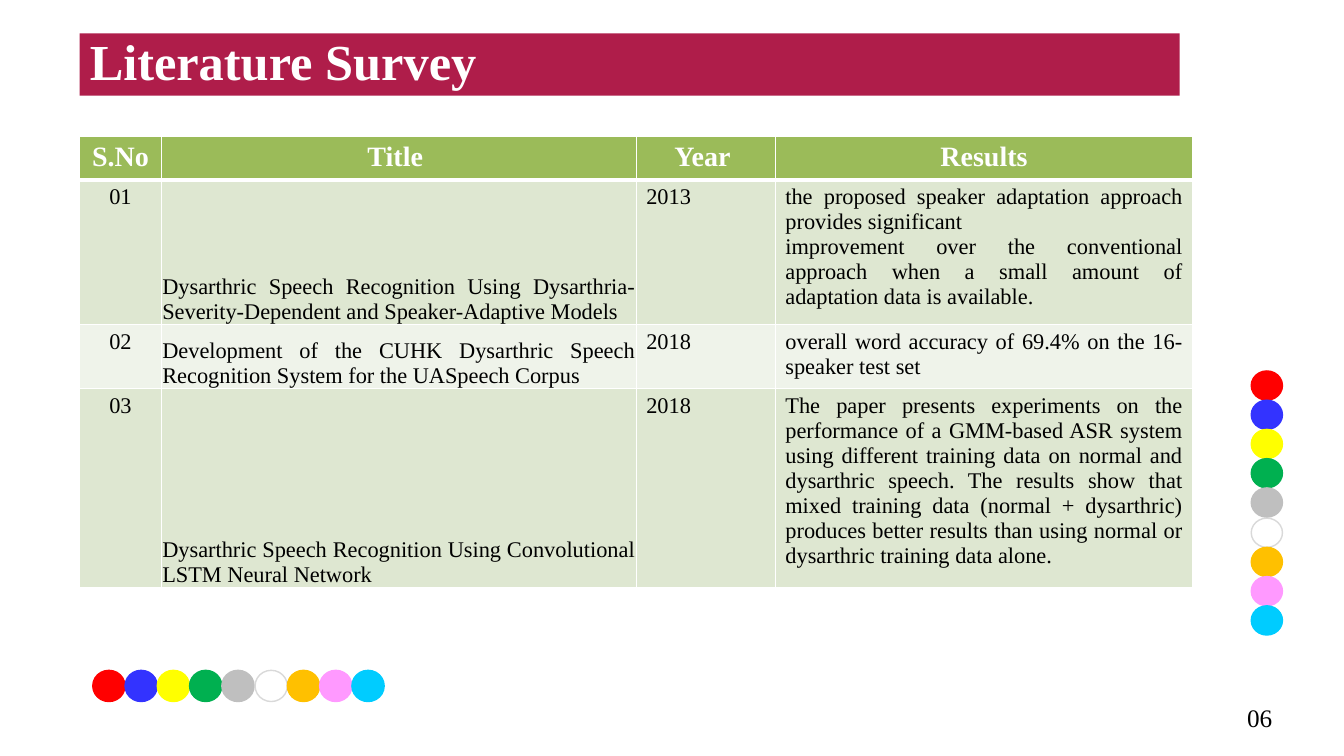
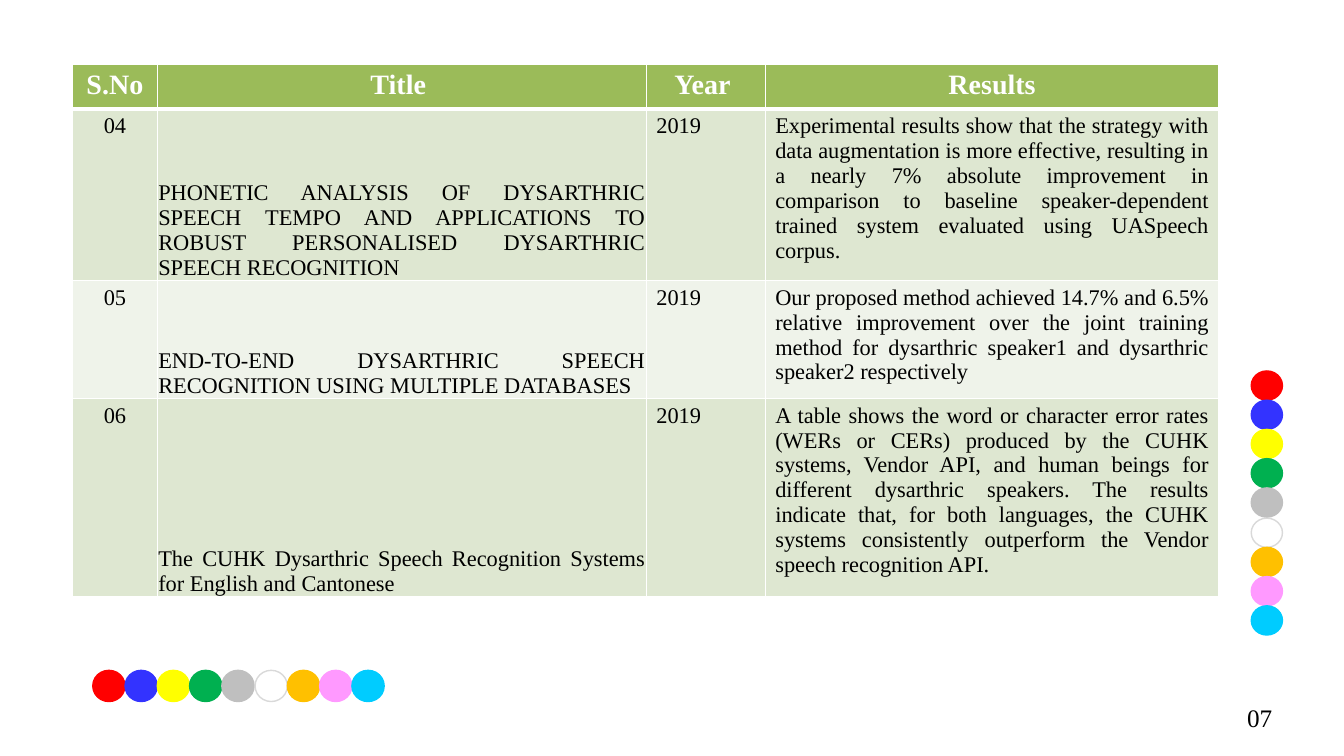
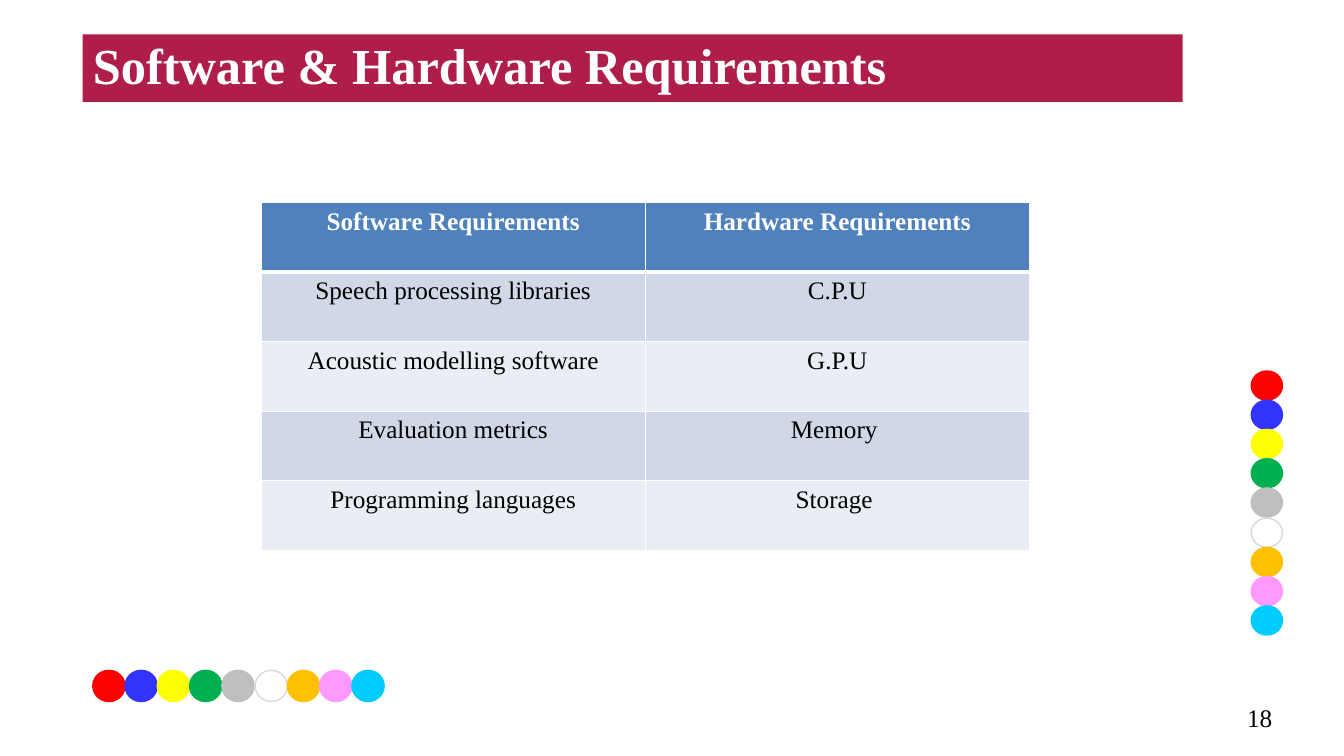
from dataclasses import dataclass

from lxml.etree import SubElement
from pptx import Presentation
from pptx.dml.color import RGBColor
from pptx.enum.shapes import MSO_SHAPE
from pptx.enum.text import MSO_ANCHOR as Anchor, MSO_AUTO_SIZE as AutoSize, PP_ALIGN as Align
from pptx.oxml.ns import qn
from pptx.presentation import Presentation as Deck
from pptx.slide import Slide
from pptx.table import _Cell as Cell
from pptx.text.text import TextFrame
from pptx.util import Emu, Pt

PX = 9144
FONT = "Times New Roman"
WHITE = RGBColor(0xFF, 0xFF, 0xFF)
BLACK = RGBColor(0x00, 0x00, 0x00)
CRIMSON = RGBColor(0xAF, 0x1D, 0x4A)
GREEN = RGBColor(0x9B, 0xBB, 0x59)
GREEN_MID = RGBColor(0xDE, 0xE7, 0xD1)
GREEN_PALE = RGBColor(0xEF, 0xF3, 0xEA)
BLUE = RGBColor(0x4F, 0x81, 0xBD)
BLUE_MID = RGBColor(0xD0, 0xD8, 0xE8)
BLUE_PALE = RGBColor(0xE9, 0xED, 0xF4)
DOT_WHITE_LINE = RGBColor(0xD9, 0xD9, 0xD9)
DOT_COLORS = (
    RGBColor(0xFF, 0x00, 0x00), RGBColor(0x33, 0x33, 0xFF), RGBColor(0xFF, 0xFF, 0x00),
    RGBColor(0x00, 0xB0, 0x50), RGBColor(0xBF, 0xBF, 0xBF), WHITE,
    RGBColor(0xFF, 0xC0, 0x00), RGBColor(0xFF, 0x99, 0xFF), RGBColor(0x00, 0xCC, 0xFF),
)


@dataclass(frozen=True)
class Box:
    left: int
    top: int
    width: int
    height: int

    def emu(self) -> tuple[Emu, ...]:
        return tuple(px(n) for n in (self.left, self.top, self.width, self.height))


@dataclass(frozen=True)
class DotStrip:
    first: Box
    dx: int
    dy: int


@dataclass(frozen=True)
class TableStyle:
    header: RGBColor
    bands: tuple[RGBColor, RGBColor]
    header_size: int
    body_size: int
    aligns: tuple[Align, ...]
    tight_col: int | None = None


@dataclass(frozen=True)
class TableSpec:
    left: int
    top: int
    cols: tuple[int, ...]
    heights: tuple[int, ...]
    rows: tuple[tuple[str, ...], ...]
    style: TableStyle


@dataclass(frozen=True)
class Page:
    number: str
    table: TableSpec
    title: str = ""
    title_box: Box | None = None


STRIPS = (
    DotStrip(Box(1241, 368, 31, 29), 0, 233),
    DotStrip(Box(92, 665, 32, 31), 257, 0),
)
NUMBER_BOX = Box(1227, 692, 95, 40)
SURVEY_STYLE = TableStyle(
    GREEN, (GREEN_MID, GREEN_PALE), 20, 16,
    (Align.CENTER, Align.JUSTIFY, Align.LEFT, Align.JUSTIFY), tight_col=1,
)
NEEDS_STYLE = TableStyle(BLUE, (BLUE_MID, BLUE_PALE), 18, 18, (Align.CENTER, Align.CENTER))
SURVEY_HEADER = ("S.No", "Title ", "Year ", "Results")

PAGES = (
    Page("06", TableSpec(79, 135, (81, 471, 138, 414), (43, 143, 64, 197), (
        SURVEY_HEADER,
        ("01",
         "Dysarthric Speech Recognition Using Dysarthria-Severity-Dependent and "
         "Speaker-Adaptive Models",
         "2013",
         "the proposed speaker adaptation approach provides significant \n"
         "improvement over the conventional approach when a small amount of "
         "adaptation data is available. "),
        ("02",
         "Development of the CUHK Dysarthric Speech Recognition System for the UASpeech Corpus",
         "2018",
         "overall word accuracy of 69.4% on the 16-speaker test set"),
        ("03",
         "Dysarthric Speech Recognition Using Convolutional LSTM Neural Network",
         "2018",
         "The paper presents experiments on the performance of a GMM-based ASR system using "
         "different training data on normal and dysarthric speech. The results show that mixed "
         "training data (normal + dysarthric) produces better results than using normal or "
         "dysarthric training data alone. "),
    ), SURVEY_STYLE), "Literature Survey", Box(79, 33, 1091, 62)),
    Page("07", TableSpec(72, 64, (84, 485, 118, 450), (44, 170, 117, 197), (
        SURVEY_HEADER,
        ("04",
         "PHONETIC ANALYSIS OF DYSARTHRIC SPEECH TEMPO AND APPLICATIONS TO ROBUST "
         "PERSONALISED DYSARTHRIC SPEECH RECOGNITION",
         "2019",
         "Experimental results show that the strategy with data augmentation is more effective, "
         "resulting in a nearly 7% absolute improvement in comparison to baseline "
         "speaker-dependent trained system evaluated using UASpeech corpus."),
        ("05",
         "END-TO-END DYSARTHRIC SPEECH RECOGNITION USING MULTIPLE DATABASES",
         "2019",
         "Our proposed method achieved 14.7% and 6.5% relative improvement over the joint "
         "training method for dysarthric speaker1 and dysarthric speaker2 respectively"),
        ("06",
         "The CUHK Dysarthric Speech Recognition Systems for English and Cantonese",
         "2019",
         "A table shows the word or character error rates (WERs or CERs) produced by the CUHK "
         "systems, Vendor API, and human beings for different dysarthric speakers. The results "
         "indicate that, for both languages, the CUHK systems consistently outperform the "
         "Vendor speech recognition API. "),
    ), SURVEY_STYLE)),
    Page("18", TableSpec(259, 201, (381, 381), (69,) * 5, (
        ("Software Requirements", "Hardware Requirements"),
        ("Speech processing libraries", "C.P.U"),
        ("Acoustic modelling software", "G.P.U"),
        ("Evaluation metrics", "Memory "),
        ("Programming languages", "Storage "),
    ), NEEDS_STYLE), "Software & Hardware Requirements", Box(82, 34, 1091, 67)),
)


def px(n: int) -> Emu:
    return Emu(n * PX)


def write(tf: TextFrame, text: str, *, size: int, color: RGBColor = BLACK, bold: bool = False,
          align: Align = Align.LEFT, spacing: float | None = None) -> None:
    for i, line in enumerate(text.split("\n")):
        p = tf.add_paragraph() if i else tf.paragraphs[0]
        p.alignment = align
        p.line_spacing = spacing
        r = p.add_run()
        r.text = line
        r.font.name = FONT
        r.font.size = Pt(size)
        r.font.bold = bold
        r.font.color.rgb = color


def add_master_dots(prs: Deck, slide: Slide, strip: DotStrip, first_id: int) -> None:
    group = slide.shapes.add_group_shape()
    steps = len(DOT_COLORS) - 1
    for i, color in enumerate(DOT_COLORS):
        box = Box(strip.first.left + round(strip.dx * i / steps),
                  strip.first.top + round(strip.dy * i / steps),
                  strip.first.width, strip.first.height)
        sp = group.shapes.add_shape(MSO_SHAPE.FLOWCHART_CONNECTOR, *box.emu())
        sp.shadow.inherit = False
        sp.fill.solid()
        sp.fill.fore_color.rgb = color
        sp.line.color.rgb = DOT_WHITE_LINE if color == WHITE else color
        sp.line.width = Pt(1)
    for i, props in enumerate(group.element.xpath(".//p:cNvPr"), first_id):
        props.set("id", str(i))
    prs.slide_master.shapes.element.append(group.element)


def set_borders(cell: Cell, row: int) -> None:
    tc_pr = cell._tc.get_or_add_tcPr()
    widths = {"a:lnL": 1, "a:lnR": 1, "a:lnT": 3 if row == 1 else 1, "a:lnB": 3 if row == 0 else 1}
    for tag, width in widths.items():
        ln = SubElement(tc_pr, qn(tag), w=str(Pt(width)))
        fill = SubElement(ln, qn("a:solidFill"))
        SubElement(fill, qn("a:srgbClr"), val=str(WHITE))


def add_table(slide: Slide, spec: TableSpec) -> None:
    box = Box(spec.left, spec.top, sum(spec.cols), sum(spec.heights))
    table = slide.shapes.add_table(len(spec.heights), len(spec.cols), *box.emu()).table
    table.horz_banding = False
    for col, width in zip(table.columns, spec.cols):
        col.width = px(width)
    for row, height in zip(table.rows, spec.heights):
        row.height = px(height)
    style = spec.style
    for r, texts in enumerate(spec.rows):
        for c, text in enumerate(texts):
            cell = table.cell(r, c)
            set_borders(cell, r)
            cell.fill.solid()
            if r == 0:
                cell.fill.fore_color.rgb = style.header
                write(cell.text_frame, text, size=style.header_size, color=WHITE, bold=True,
                      align=Align.CENTER)
                continue
            cell.fill.fore_color.rgb = style.bands[(r - 1) % 2]
            write(cell.text_frame, text, size=style.body_size, align=style.aligns[c])
            if c == style.tight_col:
                cell.vertical_anchor = Anchor.BOTTOM
                cell.margin_left = cell.margin_right = cell.margin_top = px(1)
                cell.margin_bottom = 0


def add_title(slide: Slide, text: str, box: Box) -> None:
    sp = slide.shapes.title
    sp.left, sp.top, sp.width, sp.height = box.emu()
    sp.fill.solid()
    sp.fill.fore_color.rgb = CRIMSON
    sp.text_frame.vertical_anchor = Anchor.MIDDLE
    write(sp.text_frame, text, size=36, color=WHITE, bold=True, spacing=0.9)


def add_number(slide: Slide, text: str) -> None:
    tf = slide.shapes.add_textbox(*NUMBER_BOX.emu()).text_frame
    tf.word_wrap = True
    tf.auto_size = AutoSize.SHAPE_TO_FIT_TEXT
    write(tf, text, size=18)


def main() -> None:
    prs = Presentation()
    prs.slide_width, prs.slide_height = px(1333), px(750)
    title_only, blank = prs.slide_layouts[5], prs.slide_layouts[6]
    for page in PAGES:
        slide = prs.slides.add_slide(title_only if page.title_box else blank)
        if page is PAGES[0]:
            for i, strip in enumerate(STRIPS, 1):
                add_master_dots(prs, slide, strip, 100 * i)
        if page.title_box:
            add_title(slide, page.title, page.title_box)
        add_number(slide, page.number)
        add_table(slide, page.table)
    prs.save("out.pptx")


if __name__ == "__main__":
    main()
